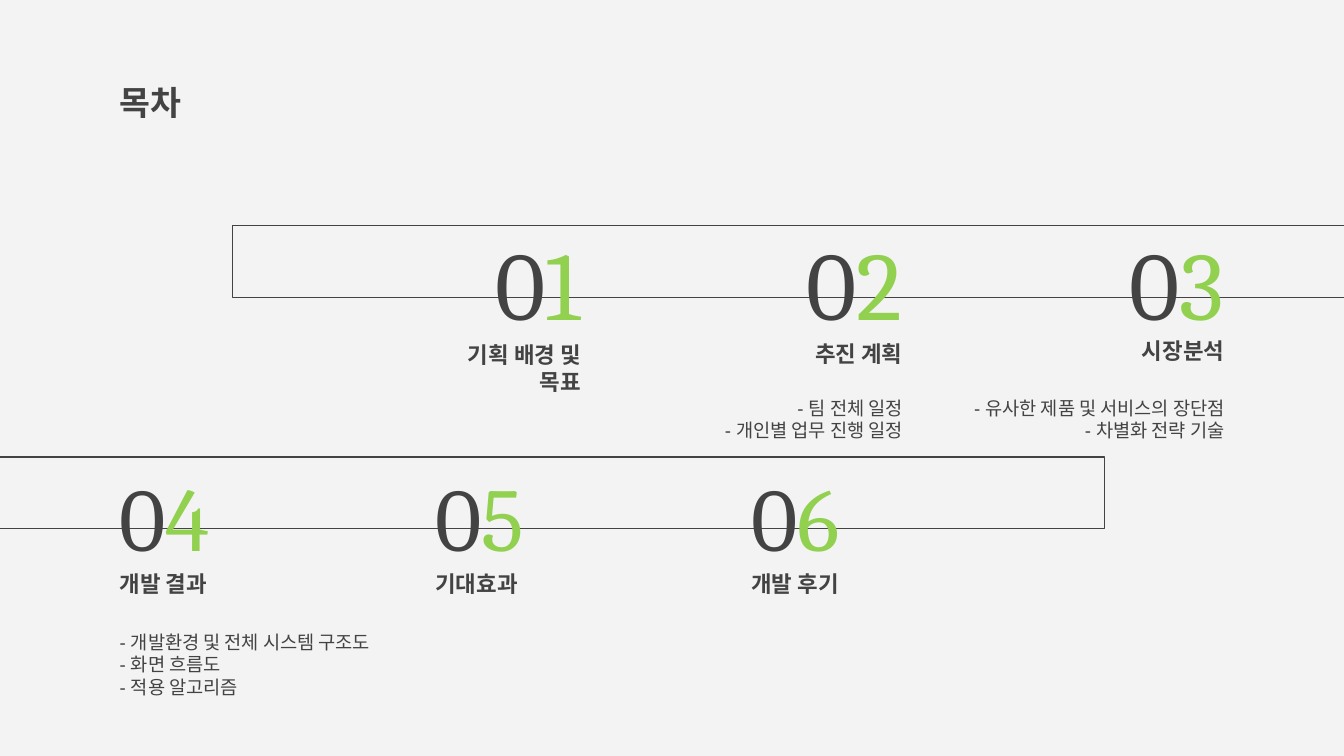
from pptx import Presentation
from pptx.dml.color import RGBColor
from pptx.enum.shapes import MSO_SHAPE
from pptx.enum.text import MSO_ANCHOR, PP_ALIGN
from pptx.util import Cm, Pt

COLORS = {"back": "F3F3F3", "dark": "434343", "green": "92D050"}
PAD = 0.25
LINE = 1.6     # height of each text box in an entry
NUM_W = 4.88   # width of a number box
NOTE_Y = 2.73  # from the top of an entry to its notes


def color(name):
    return RGBColor.from_string(COLORS[name])


def add_bar(slide, box):
    bar = slide.shapes.add_shape(MSO_SHAPE.RECTANGLE, *map(Cm, box))
    bar.shadow.inherit = False
    bar.fill.background()
    bar.line.color.rgb = color("dark")
    bar.line.width = Pt(0.75)


def add_text(slide, box, text, size, bold=False, font="Arial",
             align=PP_ALIGN.LEFT, anchor=MSO_ANCHOR.TOP):
    frame = slide.shapes.add_textbox(*map(Cm, box)).text_frame
    frame.word_wrap = True
    frame.vertical_anchor = anchor
    frame.margin_left = frame.margin_right = Cm(PAD)
    frame.margin_top = frame.margin_bottom = Cm(PAD)
    frame.text = text
    for para in frame.paragraphs:
        para.alignment = align
        for run in para.runs:
            run.font.name = font
            run.font.size = Pt(size)
            run.font.bold = bold
            run.font.color.rgb = color("dark")
    return frame


def add_entry(slide, box, num, size, label, drop, notes, note_w, align):
    """Number, label and notes, all flush with one side of the box."""
    left, top, width, _ = box

    def place(down, wide):
        shift = width - wide if align == PP_ALIGN.RIGHT else 0
        return left + shift, top + down, wide, LINE

    # Label
    add_text(slide, place(drop, width), label, 12, bold=True,
             align=align, anchor=MSO_ANCHOR.BOTTOM)
    # Notes
    if notes:
        add_text(slide, place(NOTE_Y, note_w), "\n".join(notes), 10, align=align)
    # Number with a green last digit
    frame = add_text(slide, place(0, NUM_W), "0", size, font="Cambria",
                     align=align, anchor=MSO_ANCHOR.MIDDLE)
    digit = frame.paragraphs[0].add_run()
    digit.text = str(num)
    digit.font.name = "Cambria"
    digit.font.size = Pt(size)
    digit.font.color.rgb = color("green")


def add_row(slide, box, first, size, items, align):
    """Entries at equal steps; the box spans their aligned edges."""
    left, top, width, height = box
    step = width / (len(items) - 1)
    for i, (label, wide, drop, notes, note_w) in enumerate(items):
        edge = left + i * step
        start = edge - wide if align == PP_ALIGN.RIGHT else edge
        add_entry(slide, (start, top, wide, height), first + i, size,
                  label, drop, notes, note_w, align)


# Label, label width, label drop, notes, notes width
UPPER = [
    ("기획 배경 및 목표", 3.25, 1.6, [], 0),
    ("추진 계획", 6.25, 1.07, ["- 팀 전체 일정", "- 개인별 업무 진행 일정"], 5.49),
    ("시장분석", 4.01, 1.02,
     ["- 유사한 제품 및 서비스의 장단점", "- 차별화 전략 기술"], 6.12),
]
LOWER = [
    ("개발 결과", 3.25, 0.99,
     ["- 개발환경 및 전체 시스템 구조도", "- 화면 흐름도", "- 적용 알고리즘"], 5.97),
    ("기대효과", 3.12, 0.99, [], 0),
    ("개발 후기", 2.54, 0.99, [], 0),
]


def main():
    deck = Presentation()
    deck.slide_width, deck.slide_height = Cm(25.4), Cm(14.29)
    slide = deck.slides.add_slide(deck.slide_layouts[6])
    slide.background.fill.solid()
    slide.background.fill.fore_color.rgb = color("back")

    # Bars running off either side
    add_bar(slide, (4.39, 4.26, 21.15, 1.36))
    add_bar(slide, (-0.27, 8.64, 21.15, 1.35))

    # Contents
    add_row(slide, (11.23, 4.52, 12.16, 4.33), 1, 52, UPPER, PP_ALIGN.RIGHT)
    add_row(slide, (2.01, 8.94, 11.94, 4.33), 4, 48, LOWER, PP_ALIGN.LEFT)

    # Title
    add_text(slide, (2.01, 1.3, 4.88, 2.62), "목차", 18, bold=True)
    deck.save("out.pptx")


if __name__ == "__main__":
    main()
